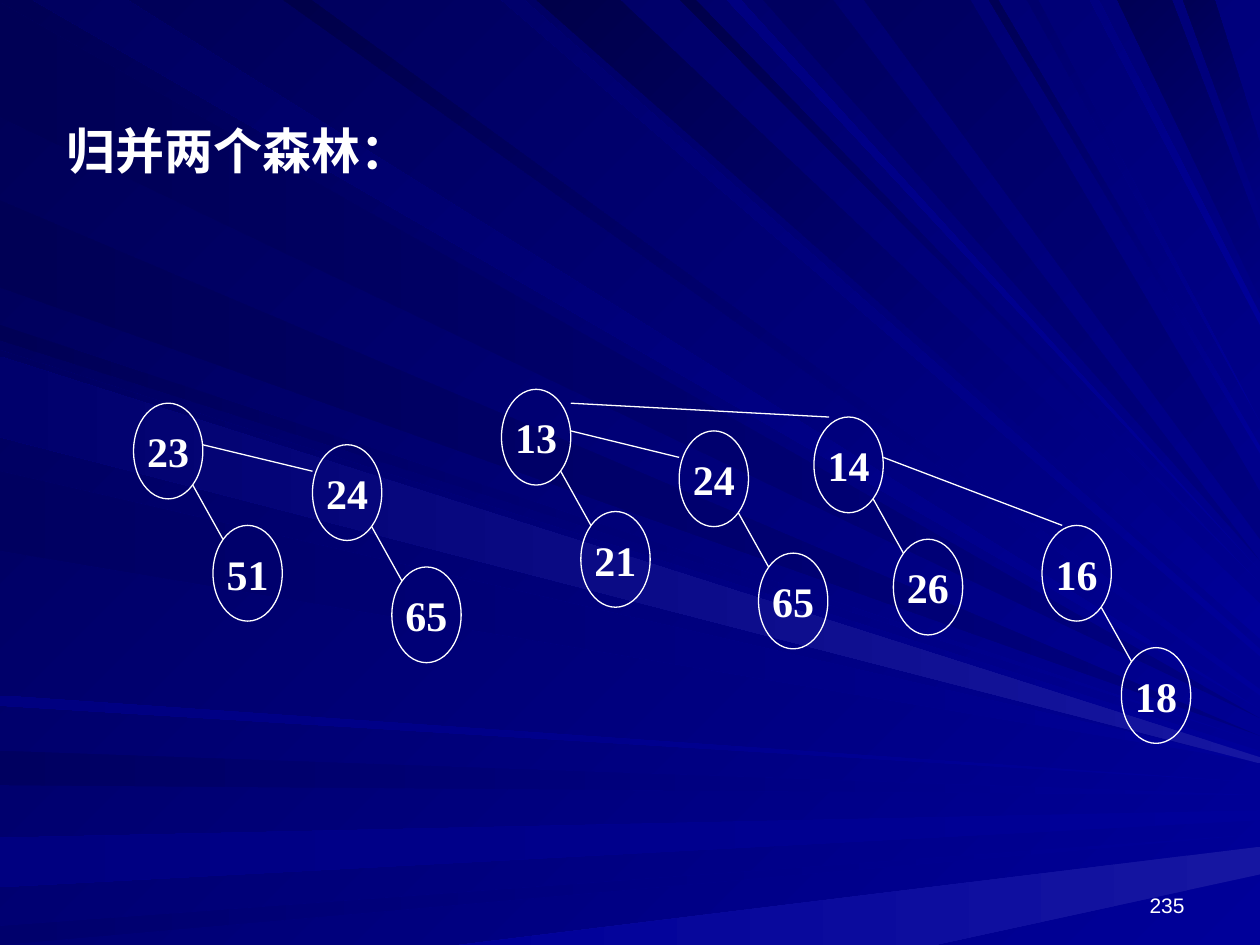
from lxml import etree
from pptx import Presentation
from pptx import util as u
from pptx.dml.color import RGBColor
from pptx.enum import shapes, text
from pptx.oxml.ns import qn

COLORS = {
    "white": "FFFFFF", "glow": "1616A1", "bright": "000099", "mid": "000080",
    "dim": "00006C", "dusk": "000060", "dark": "000055", "night": "00004A",
}
WIDTH, HEIGHT = 10, 7.5

# Background rays, back to front: edge they start on, span on that edge,
# height and spread where they meet the right edge, colours near and far
RAYS = [
    ("left", .02, .93, 5.7, 0, "mid", "dark"),
    ("top", .26, 1.01, 5.63, 0, "bright", "dusk"),
    ("left", 6.23, 5.96, 6.31, 0, "bright", "dusk"),
    ("left", 7.04, 6.65, 6.43, .08, "bright", "mid"),
    ("left", 7.5, 7.35, 6.62, 0, "bright", "dim"),
    ("bottom", 7.42, 3.64, 6.72, .22, "glow", "bright"),
    ("left", 2.7, 2.58, 5.89, 0, "bright", "dark"),
    ("left", 2.28, 1.59, 5.84, 0, "mid", "dark"),
    ("top", 3.98, 4.16, 5.15, .06, "bright", "dim"),
    ("top", 4.26, 4.92, 4.79, .28, "bright", "night"),
    ("top", 5.4, 5.52, 4.63, 0, "bright", "night"),
    ("top", 6.06, 6.61, 4.45, 0, "mid", "dusk"),
    ("top", 8.87, 9.3, 1.83, .54, "mid", "dark"),
    ("top", 9.39, 9.64, 1.14, .53, "mid", "dark"),
    ("left", 3.42, 2.78, 5.96, .06, "bright", "dusk"),
    ("left", 4.37, 3.74, 6.05, 0, "bright", "dusk"),
    ("left", 5.6, 5.52, 6.21, 0, "bright", "mid"),
    ("top", 2.25, 2.47, 5.47, .05, "bright", "night"),
    ("top", 5.77, 5.88, 4.53, 0, "bright", "mid"),
    ("top", 6.86, 7.7, 3.9, .38, "mid", "dusk"),
    ("top", 7.85, 7.92, 3.54, .06, "bright", "dark"),
    ("top", 8.15, 8.24, 3.35, 0, "bright", "dim"),
    ("top", 8.65, 8.72, 2.49, .09, "bright", "mid"),
    ("left", 3.47, 2.83, 6.01, .05, "glow", "dim"),
]

# Heap branches: parent, child, left and top of the parent
BRANCHES = [
    ("23", "51", 1.06, 3.2), ("24", "65", 2.48, 3.53),
    ("13", "21", 3.98, 3.09), ("24", "65", 5.39, 3.42),
    ("14", "26", 6.46, 3.31), ("16", "18", 8.27, 4.17),
]
# Links between branches: from, to
LINKS = [
    ((1.61, 3.53), (2.48, 3.74)), ((4.53, 3.42), (5.39, 3.63)),
    ((7.01, 3.63), (8.43, 4.17)), ((4.53, 3.2), (6.58, 3.31)),
]
NODE_SIZE = (0.55, 0.76)
CHILD_STEP = (0.63, 0.97)
EDGE_START, EDGE_END = (0.47, 0.65), (0.71, 1.08)


def color(name):
    return RGBColor.from_string(COLORS[name])


def paint(fill, near, far, angle):
    fill.gradient()
    fill.gradient_angle = angle
    for stop, name in zip(fill.gradient_stops, (near, far)):
        stop.color.rgb = color(name)


def write(shape, words, size, font="Times New Roman", bold=True,
          align=text.PP_ALIGN.LEFT, anchor=text.MSO_ANCHOR.TOP, wrap=True):
    frame = shape.text_frame
    frame.word_wrap = wrap
    frame.auto_size = text.MSO_AUTO_SIZE.NONE
    frame.vertical_anchor = anchor
    para = frame.paragraphs[0]
    para.alignment = align
    para.space_before = u.Pt(0)
    span = para.add_run()
    span.text = words
    span.font.size, span.font.name, span.font.bold = u.Pt(size), font, bold
    span.font.color.rgb = color("white")


def add_ray(page, edge, first, last, height, spread, near, far):
    if edge == "left":
        start, end = (0, first), (0, last)
    else:
        y = 0 if edge == "top" else HEIGHT
        start, end = (first, y), (last, y)
    corners = [start, end, (WIDTH, height), (WIDTH, height + spread)]
    points = [(u.Inches(x), u.Inches(y)) for x, y in corners]
    builder = page.shapes.build_freeform(*points[0], scale=1.0)
    builder.add_line_segments(points[1:], close=True)
    ray = builder.convert_to_shape()
    ray.shadow.inherit = False
    ray.line.fill.background()
    paint(ray.fill, near, far, 135 if edge == "top" else 180)


def add_node(page, label, left, top):
    node = page.shapes.add_shape(shapes.MSO_SHAPE.OVAL,
                                 *map(u.Inches, (left, top, *NODE_SIZE)))
    node.shadow.inherit = False
    node.fill.background()
    node.line.color.rgb = color("white")
    node.line.width = u.Pt(0.75)
    write(node, label, 24, align=text.PP_ALIGN.CENTER,
          anchor=text.MSO_ANCHOR.MIDDLE, wrap=False)


def add_line(page, start, end):
    line = page.shapes.add_connector(shapes.MSO_CONNECTOR.STRAIGHT,
                                     *map(u.Inches, (*start, *end)))
    line.line.color.rgb = color("white")
    line.line.width = u.Pt(0.75)
    etree.SubElement(line._element.spPr, qn("a:effectLst"))


def main():
    deck = Presentation()
    deck.slide_width, deck.slide_height = u.Inches(WIDTH), u.Inches(HEIGHT)
    page = deck.slides.add_slide(deck.slide_layouts[5])

    # Background
    paint(page.background.fill, "bright", "dark", 135)
    for ray in RAYS:
        add_ray(page, *ray)

    # Title, in front of the rays
    title = page.shapes.title
    page.shapes._spTree.append(title._element)
    title.left, title.top, title.width, title.height = map(u.Inches, (0.43, 0.91, 4.8, 0.57))
    write(title, "归并两个森林：", 28)

    # Forests
    for parent, child, left, top in BRANCHES:
        add_node(page, parent, left, top)
        add_node(page, child, left + CHILD_STEP[0], top + CHILD_STEP[1])
        add_line(page, *((left + dx, top + dy) for dx, dy in (EDGE_START, EDGE_END)))
    for start, end in LINKS:
        add_line(page, start, end)

    # Page number
    number = page.shapes.add_textbox(*map(u.Inches, (7.17, 6.83, 2.33, 0.5)))
    write(number, "235", 12, font="Arial", bold=False,
          align=text.PP_ALIGN.RIGHT, anchor=text.MSO_ANCHOR.BOTTOM)

    deck.save("out.pptx")


if __name__ == "__main__":
    main()
